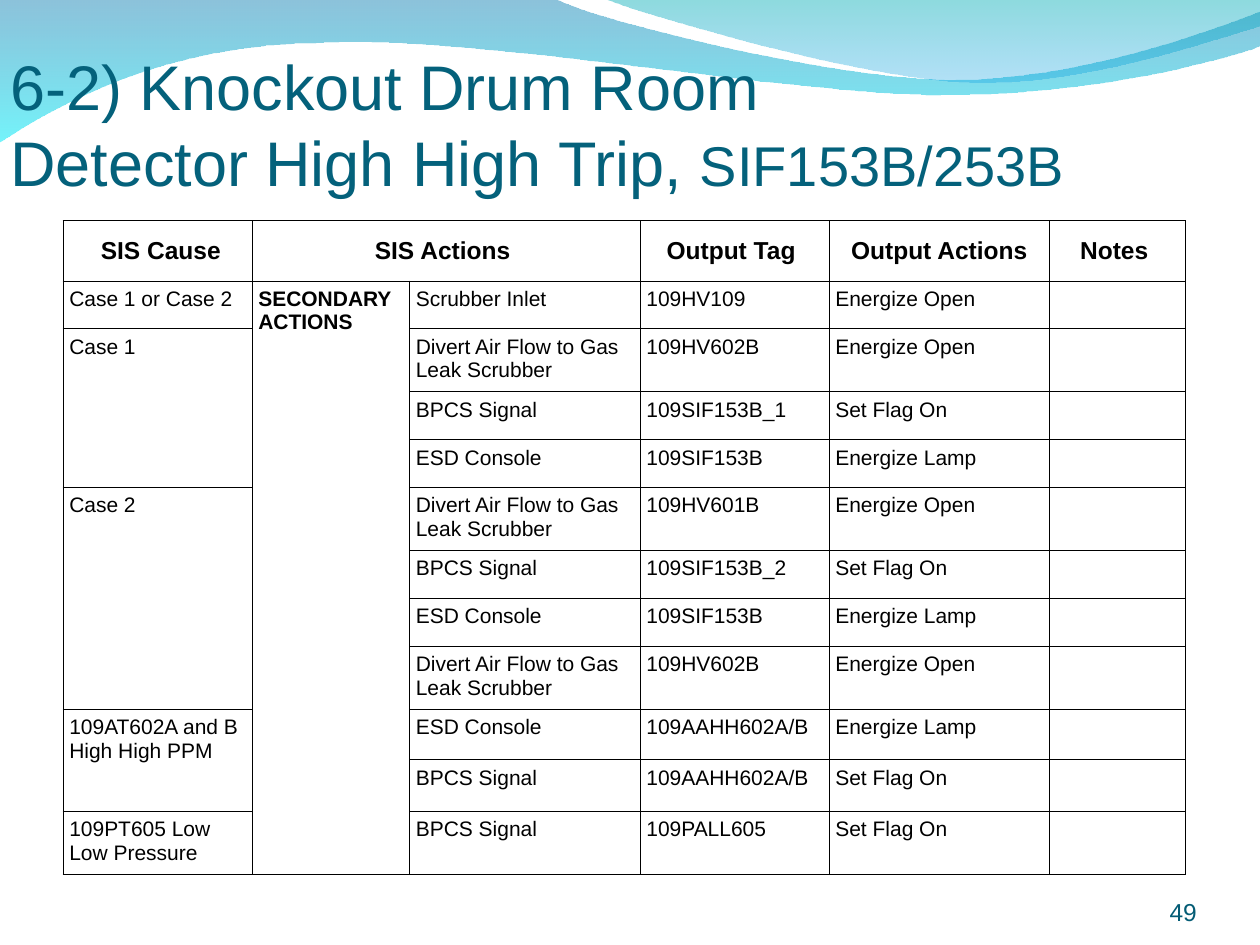
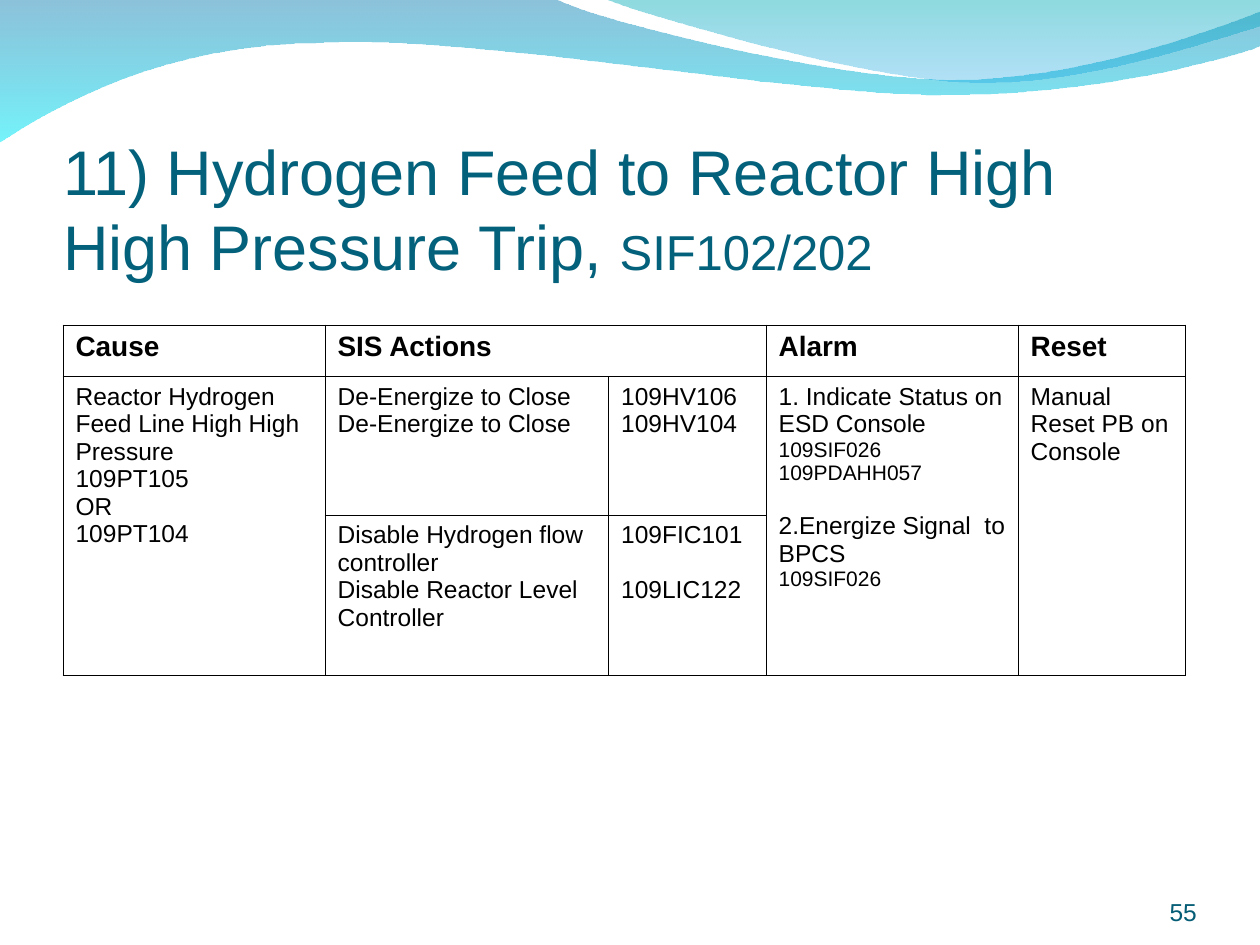
"""Build two safety-trip slides that share a wave band, title style, table style and page number."""
import pptx
import pptx.dml.color
import pptx.enum.text
import pptx.oxml
import pptx.util
from lxml import etree

Inches = pptx.util.Inches
Pt = pptx.util.Pt
RGBColor = pptx.dml.color.RGBColor
ALIGN = pptx.enum.text.PP_ALIGN
ANCHOR = pptx.enum.text.MSO_ANCHOR

BLACK = RGBColor(0x00, 0x00, 0x00)
TITLE_TEAL = RGBColor(0x04, 0x61, 0x7B)
NUMBER_TEAL = RGBColor(0x04, 0x5C, 0x75)
DEEP_BLUE = RGBColor(0x00, 0x79, 0xAF)
CYAN = RGBColor(0x00, 0xEB, 0xF8)
SEA_GREEN = RGBColor(0x00, 0xAD, 0xB6)
SKY_BLUE = RGBColor(0x00, 0x9B, 0xE5)

FONT = "Arial"
DRAWING = "http://schemas.openxmlformats.org/drawingml/2006/main"
TAG = f"{{{DRAWING}}}"

WAVES = [
    {
        "start": (0, -0.01),
        "segments": [
            [(4.4, -0.01)],
            [(4.76, 0.17), (6.64, 0.63), (7.58, 0.63)],
            [(8.53, 0.63), (9.58, 0.26), (10, 0.09)],
            [(10.01, 0.36)],
            [(9.83, 0.44), (8.7, 0.76), (7.46, 0.75)],
            [(6.22, 0.75), (3.82, 0.28), (2.57, 0.34)],
            [(1.29, 0.35), (0.46, 0.83), (-0.01, 1.13)],
            [(0, -0.01)],
        ],
        "stops": [(DEEP_BLUE, 45), (CYAN, 55)],
    },
    {
        "start": (4.79, -0.01),
        "segments": [
            [(5.09, 0.11), (6.82, 0.62), (7.69, 0.65)],
            [(8.56, 0.69), (9.61, 0.32), (10, 0.21)],
            [(10, 0)],
            [(4.79, -0.01)],
        ],
        "stops": [(SEA_GREEN, 45), (SKY_BLUE, 30)],
    },
]

DIVERT = "Divert Air Flow to Gas Leak Scrubber"
OPEN, FLAG, LAMP = "Energize Open", "Set Flag On", "Energize Lamp"
BPCS, ESD = "BPCS Signal", "ESD Console"

SLIDES = [
    {
        "number": "49",
        "title": [("6-2) Knockout Drum Room \nDetector High High Trip, ", 36), ("SIF153B/253B", 32)],
        "title_at": (0.08, 0.33),
        "table_top": 1.75,
        "columns": [1.5, 1.25, 1.83, 1.5, 1.75, 1.08],
        "heights": [0.48, 0.38, 0.5, 0.38, 0.38, 0.5, 0.38, 0.38, 0.5, 0.4, 0.41, 0.5],
        "header_size": 14, "header_align": ALIGN.CENTER, "header_anchor": ANCHOR.MIDDLE,
        "body_size": 12, "body_inset": 0.05,
        "merges": [(0, 1, 0, 2), (1, 1, 11, 1), (2, 0, 4, 0), (5, 0, 8, 0), (9, 0, 10, 0)],
        "rows": [
            [" SIS Cause", "SIS Actions ", "", "Output Tag ", "Output Actions", "Notes "],
            ["Case 1 or Case 2", "SECONDARY ACTIONS", "Scrubber Inlet", "109HV109", OPEN, ""],
            ["Case 1", "", DIVERT, "109HV602B", OPEN, ""],
            ["", "", BPCS, "109SIF153B_1", FLAG, ""],
            ["", "", ESD, "109SIF153B", LAMP, ""],
            ["Case 2", "", DIVERT, "109HV601B", OPEN, ""],
            ["", "", BPCS, "109SIF153B_2", FLAG, ""],
            ["", "", ESD, "109SIF153B", LAMP, ""],
            ["", "", DIVERT, "109HV602B", OPEN, ""],
            ["109AT602A and B High High PPM", "", ESD, "109AAHH602A/B", LAMP, ""],
            ["", "", BPCS, "109AAHH602A/B", FLAG, ""],
            ["109PT605 Low Low Pressure", "", BPCS, "109PALL605", FLAG, ""],
        ],
    },
    {
        "number": "55",
        "title": [("11) Hydrogen Feed to Reactor High High Pressure Trip, ", 36), ("SIF102/202", 28)],
        "title_at": (0.5, 1),
        "table_top": 2.58,
        "columns": [2.08, 2.25, 1.25, 2, 1.33],
        "heights": [0.41, 1.1, 1.27],
        "header_size": 16, "header_align": ALIGN.LEFT, "header_anchor": ANCHOR.TOP,
        "body_size": 14, "body_inset": 0.1,
        "merges": [(0, 1, 0, 2), (1, 0, 2, 0), (1, 3, 2, 3), (1, 4, 2, 4)],
        "rows": [
            ["Cause", "SIS Actions", "", "Alarm", "Reset"],
            [
                "Reactor Hydrogen Feed Line High High Pressure\n109PT105\nOR\n109PT104",
                "De-Energize to Close\nDe-Energize to Close",
                "109HV106\n109HV104",
                "1. Indicate Status on ESD Console\n109SIF026\n109PDAHH057\n"
                "2.Energize Signal  to BPCS\n109SIF026",
                "Manual Reset PB on Console",
            ],
            ["", "Disable Hydrogen flow controller\nDisable Reactor Level Controller",
             "109FIC101\n109LIC122", "", ""],
        ],
    },
]
BOLD_LINES = {"SECONDARY ACTIONS"}
SMALL_LINES = {"109SIF026", "109PDAHH057"}
SPACED_LINES = {"2.Energize Signal  to BPCS", "109LIC122"}


def write(para, text, size=12, color=BLACK, bold=False, align=ALIGN.LEFT, before=0):
    """Append formatted text to a paragraph, breaking lines at newlines."""
    para.alignment = align
    para.space_before = Pt(before)
    for index, line in enumerate(text.split("\n")):
        if index:
            para.add_line_break()
        span = para.add_run()
        span.text = line
        span.font.name = FONT
        span.font.size = Pt(size)
        span.font.bold = bold
        span.font.color.rgb = color


def set_frame(frame, left=0, top=0, right=0, bottom=0, anchor=ANCHOR.BOTTOM):
    """Set the wrapping, insets and anchor of a text frame."""
    frame.word_wrap = True
    frame.auto_size = pptx.enum.text.MSO_AUTO_SIZE.NONE
    frame.margin_left, frame.margin_top = Inches(left), Inches(top)
    frame.margin_right, frame.margin_bottom = Inches(right), Inches(bottom)
    frame.vertical_anchor = anchor


deck = pptx.Presentation()
deck.slide_width = Inches(10)
deck.slide_height = Inches(7.5)
layout = deck.slide_layouts[5]
pages = [deck.slides.add_slide(layout) for _ in SLIDES]

for position, wave in enumerate(WAVES):
    x, y = wave["start"]
    builder = pages[0].shapes.build_freeform(Inches(x), Inches(y))
    for segment in wave["segments"]:
        builder.add_line_segments([(Inches(x), Inches(y)) for x, y in segment], close=False)
    band = builder.convert_to_shape()
    lines = iter(band.element.findall(f".//{TAG}lnTo"))
    for segment in wave["segments"]:
        steps = [next(lines) for _ in segment]
        if len(steps) == 3:
            curve = etree.Element(f"{TAG}cubicBezTo")
            steps[0].addprevious(curve)
            for step in steps:
                curve.append(step[0])
                step.getparent().remove(step)
    etree.SubElement(band.element.find(f".//{TAG}pathLst")[0], f"{TAG}close")

    band.name = f"Wave {position + 1}"
    band.shadow.inherit = False
    band.line.fill.background()
    band.fill.gradient()
    band.fill.gradient_angle = 270
    for place, (stop, (color, opacity)) in enumerate(zip(band.fill.gradient_stops, wave["stops"])):
        stop.color.rgb = color
        stop.position = place
        tint = band.element.findall(f".//{TAG}gs/{TAG}srgbClr")[place]
        etree.SubElement(tint, f"{TAG}alpha", val=str(opacity * 1000))
    layout.shapes.element.insert(2 + position, band.element)

for page, content in zip(pages, SLIDES):
    title = page.shapes.title
    title.left, title.top = [Inches(value) for value in content["title_at"]]
    title.width, title.height = Inches(9), Inches(1.25)
    set_frame(title.text_frame, top=0.05)
    for text, size in content["title"]:
        write(title.text_frame.paragraphs[0], text, size=size, color=TITLE_TEAL)

    rows, columns, heights = content["rows"], content["columns"], content["heights"]
    table = page.shapes.add_table(
        len(rows), len(columns), Inches(0.5), Inches(content["table_top"]),
        Inches(sum(columns)), Inches(sum(heights)),
    ).table
    table.first_row = False
    table.horz_banding = False
    for column, width in zip(table.columns, columns):
        column.width = Inches(width)
    for row, height in zip(table.rows, heights):
        row.height = Inches(height)
    for top, left, bottom, right in content["merges"]:
        table.cell(top, left).merge(table.cell(bottom, right))

    for row_index, row in enumerate(rows):
        header = row_index == 0
        for column_index, text in enumerate(row):
            cell = table.cell(row_index, column_index)
            properties = cell._tc.get_or_add_tcPr()
            for side in ("lnL", "lnR", "lnT", "lnB"):
                properties.append(pptx.oxml.parse_xml(
                    f'<a:{side} xmlns:a="{DRAWING}" w="5715"><a:solidFill>'
                    f'<a:srgbClr val="{BLACK}"/></a:solidFill></a:{side}>'
                ))
            cell.fill.background()
            cell.margin_left = Inches(0.1 if header else content["body_inset"])
            cell.margin_right = Inches(0.1)
            cell.margin_top = cell.margin_bottom = Inches(0.05)
            cell.vertical_anchor = content["header_anchor"] if header else ANCHOR.TOP
            frame = cell.text_frame
            if not text:
                ending = etree.SubElement(frame.paragraphs[0]._p, f"{TAG}endParaRPr", sz="1200")
                etree.SubElement(ending, f"{TAG}latin", typeface=FONT)
                continue
            for line_index, line in enumerate(text.split("\n")):
                para = frame.add_paragraph() if line_index else frame.paragraphs[0]
                if header:
                    write(para, line, size=content["header_size"], bold=True,
                          align=content["header_align"])
                else:
                    write(para, line, size=12 if line in SMALL_LINES else content["body_size"],
                          bold=line in BOLD_LINES, before=15.5 if line in SPACED_LINES else 0)

    number = page.shapes.add_textbox(Inches(8.67), Inches(6.95), Inches(0.83), Inches(0.4))
    set_frame(number.text_frame)
    write(number.text_frame.paragraphs[0], content["number"], size=14,
          color=NUMBER_TEAL, align=ALIGN.RIGHT)

deck.save("out.pptx")
